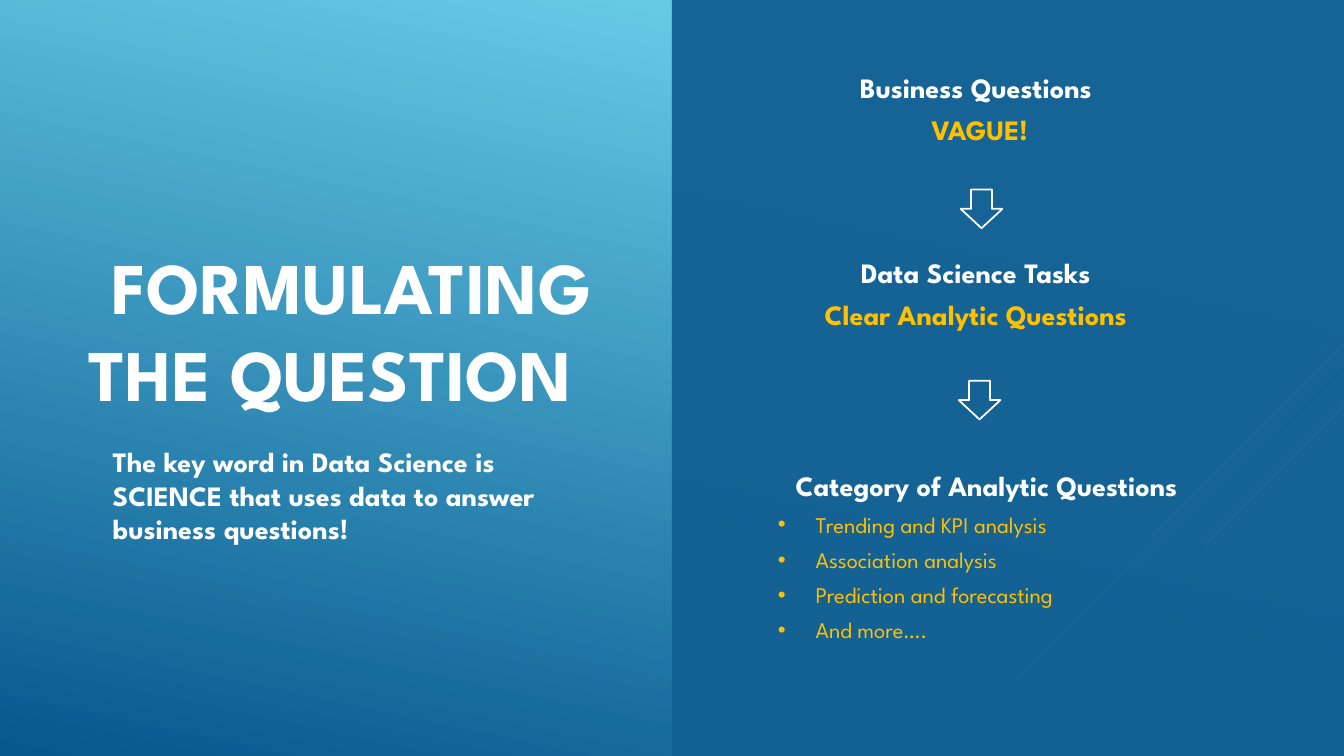
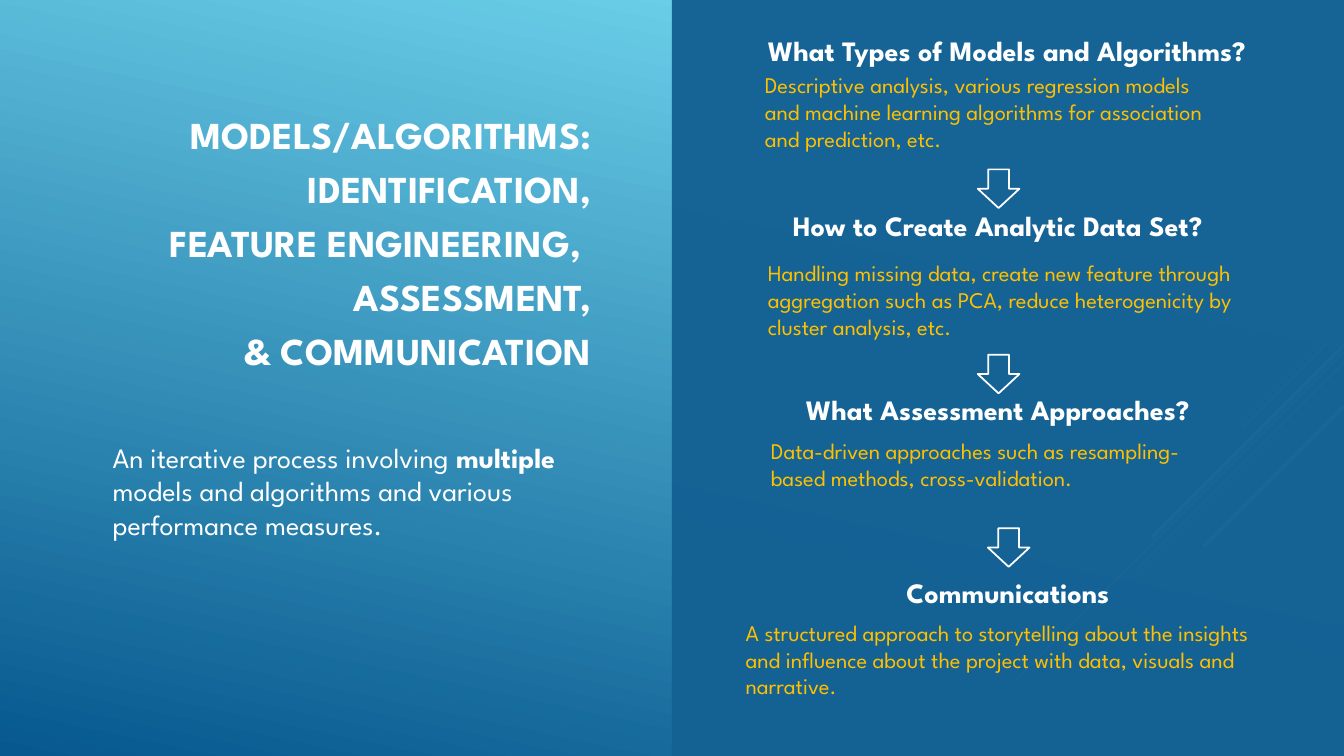
from lxml.etree import SubElement
from pptx import Presentation
from pptx.dml.color import RGBColor
from pptx.enum.shapes import MSO_CONNECTOR as Connector, MSO_SHAPE as Shape
from pptx.enum.text import MSO_ANCHOR as Anchor, MSO_AUTO_SIZE as AutoSize, PP_ALIGN as Align
from pptx.oxml.ns import qn
from pptx.util import Pt

COLORS = {"white": "FFFFFF", "gold": "FFC000", "panel": "146194",
          "sky": "6ED2EB", "deep": "06588E"}
FONT = "League Spartan"
WIDTH, HEIGHT = 960, 540
ARROW_SIZE = (29.8, 27.6)
TITLE_LEFT, TITLE_WIDTH = 50.4, 379.4
LEAD_LEFT, LEAD_WIDTH = 73.4, 334

# Diagonal lines run at 45 degrees from the right edge: top, length, weight
RAYS = [(233.2, 72, 0.75), (251.2, 235, 0.75), (258.6, 149.4, 0.75),
        (246.4, 137.4, 2.25), (290, 100, 2.25)]

STYLES = {
    "heading": dict(size=20, bold=True, align=Align.CENTER, after=6),
    "answer": dict(size=20, bold=True, color="gold", align=Align.CENTER, after=6),
    "bullet": dict(size=16, color="gold", after=6, indent=27),
    "detail": dict(size=16, color="gold"),
    "lead": dict(size=20, after=6),
}

# Boxes are (left, top, width, height); a line is (style, text);
# a text may be a list of (words, bold) spans
SLIDES = [
    {
        "glow": 0.08,
        "title": ["FORMULATING THE QUESTION "],
        "title_size": 52, "title_top": 54, "title_height": 362,
        "lead": [("The key word in Data Science is SCIENCE that uses data "
                  "to answer business questions!", True)],
        "lead_top": 314,
        "texts": [
            ((548.6, 46.8, 302.4, 62), [("heading", "Business Questions "),
                                        ("answer", "VAGUE!")]),
            ((545.8, 178.6, 302.4, 62), [("heading", "Data Science Tasks"),
                                         ("answer", "Clear Analytic Questions")]),
            ((548.6, 331.2, 312.5, 157.7), [("heading", "Category of Analytic Questions"),
                                            ("bullet", "Trending and KPI analysis"),
                                            ("bullet", "Association analysis"),
                                            ("bullet", "Prediction and forecasting"),
                                            ("bullet", "And more….")]),
        ],
        "arrows": [(686.2, 135.4), (684.8, 272)],
    },
    {
        "glow": 0.1,
        "title": ["MODELS/ALGORITHMS:", "IDENTIFICATION,", "FEATURE ENGINEERING, ",
                  "ASSESSMENT,", "& COMMUNICATION"],
        "title_size": 27.2, "title_top": 73, "title_height": 200,
        "lead": [("An iterative process involving ", False), ("multiple", True),
                 (" models and algorithms and various performance measures.", False)],
        "lead_top": 311,
        "texts": [
            ((524.9, 20.2, 388.8, 31.7), [("heading", "What Types of Models and Algorithms?")]),
            ((539.3, 47.5, 343.4, 65.5), [("detail", "Descriptive analysis, various regression models and "
                                           "machine learning algorithms for association and "
                                           "prediction, etc.")]),
            ((539.3, 145.4, 347, 31.7), [("heading", "How to Create Analytic Data Set?")]),
            ((541.4, 181.4, 357.1, 65.5), [("detail", "Handling missing data, create new feature through "
                                            "aggregation such as PCA, reduce heterogenicity by "
                                            "cluster analysis, etc.")]),
            ((552.2, 276.5, 321.1, 31.7), [("heading", "What Assessment Approaches?")]),
            ((543.6, 308.9, 328.3, 65.5), [("detail", "Data-driven approaches such as resampling-based "
                                            "methods, cross-validation.")]),
            ((568.8, 407.5, 302.4, 31.7), [("heading", "Communications")]),
            ((525.6, 438.5, 388.8, 85), [("detail", "A structured approach to storytelling about the insights "
                                          "and influence about the project with data, visuals and "
                                          "narrative.")]),
        ],
        "arrows": [(698.4, 121), (698.4, 253.4), (705.6, 377.3)],
    },
]


def rgb(name):
    return RGBColor.from_string(COLORS[name])


def points(*values):
    return [Pt(value) for value in values]


def write(frame, text, size=20, bold=False, color="white", align=Align.LEFT, after=0, indent=0):
    """Append one paragraph; a positive indent makes it a bulleted one."""
    para = frame.add_paragraph() if frame.text else frame.paragraphs[0]
    para.alignment = align
    para.space_before, para.space_after = Pt(0), Pt(after)
    if indent:
        props = para._p.get_or_add_pPr()
        props.set("marL", str(Pt(indent)))
        props.set("indent", str(-Pt(indent)))
        SubElement(props, qn("a:buFont"), typeface="Arial")
        SubElement(props, qn("a:buChar"), char="•")
    for words, heavy in [(text, bold)] if isinstance(text, str) else text:
        span = para.add_run()
        span.text = words
        span.font.name, span.font.size, span.font.bold = FONT, Pt(size), heavy
        span.font.color.rgb = rgb(color)


def add_text(slide, place, lines):
    frame = slide.shapes.add_textbox(*points(*place)).text_frame
    frame.word_wrap = True
    for style, text in lines:
        write(frame, text, **STYLES[style])


def paint_background(slide, glow):
    fill = slide.background.fill
    fill.gradient()
    fill.gradient_angle = 258
    for stop, position, color in zip(fill.gradient_stops, (glow, 1), ("sky", "deep")):
        stop.position = position
        stop.color.rgb = rgb(color)


def add_rays(slide):
    for top, length, weight in RAYS:
        ray = slide.shapes.add_connector(
            Connector.STRAIGHT, *points(WIDTH, top, WIDTH - length, top + length))
        ray.line.color.rgb = rgb("white")
        ray.line.width = Pt(weight)
        SubElement(ray._element.spPr, qn("a:effectLst"))


def add_panel(slide):
    panel = slide.shapes.add_shape(Shape.RECTANGLE, *points(WIDTH / 2, 0, WIDTH / 2, HEIGHT))
    panel.shadow.inherit = False
    panel.fill.solid()
    panel.fill.fore_color.rgb = rgb("panel")
    panel.line.fill.background()
    color = panel._element.spPr.find(qn("a:solidFill"))[0]
    SubElement(color, qn("a:alpha"), val="97000")


def add_arrow(slide, left, top):
    arrow = slide.shapes.add_shape(Shape.DOWN_ARROW, *points(left, top, *ARROW_SIZE))
    arrow.shadow.inherit = False
    arrow.fill.background()
    arrow.line.color.rgb = rgb("white")
    arrow.line.width = Pt(1.25)


def set_title(slide, content):
    title = slide.shapes.title
    title.left, title.top, title.width, title.height = points(
        TITLE_LEFT, content["title_top"], TITLE_WIDTH, content["title_height"])
    frame = title.text_frame
    frame.word_wrap = True
    frame.auto_size = AutoSize.NONE
    frame.vertical_anchor = Anchor.MIDDLE
    for line in content["title"]:
        write(frame, line, size=content["title_size"], bold=True, align=Align.RIGHT, after=6)


def build_slide(deck, content):
    slide = deck.slides.add_slide(deck.slide_layouts[5])
    paint_background(slide, content["glow"])
    add_rays(slide)
    add_panel(slide)
    set_title(slide, content)
    add_text(slide, (LEAD_LEFT, content["lead_top"], LEAD_WIDTH, 80), [("lead", content["lead"])])
    for place, lines in content["texts"]:
        add_text(slide, place, lines)
    for left, top in content["arrows"]:
        add_arrow(slide, left, top)


def main():
    deck = Presentation()
    deck.slide_width, deck.slide_height = points(WIDTH, HEIGHT)
    for content in SLIDES:
        build_slide(deck, content)
    deck.save("out.pptx")


if __name__ == "__main__":
    main()
